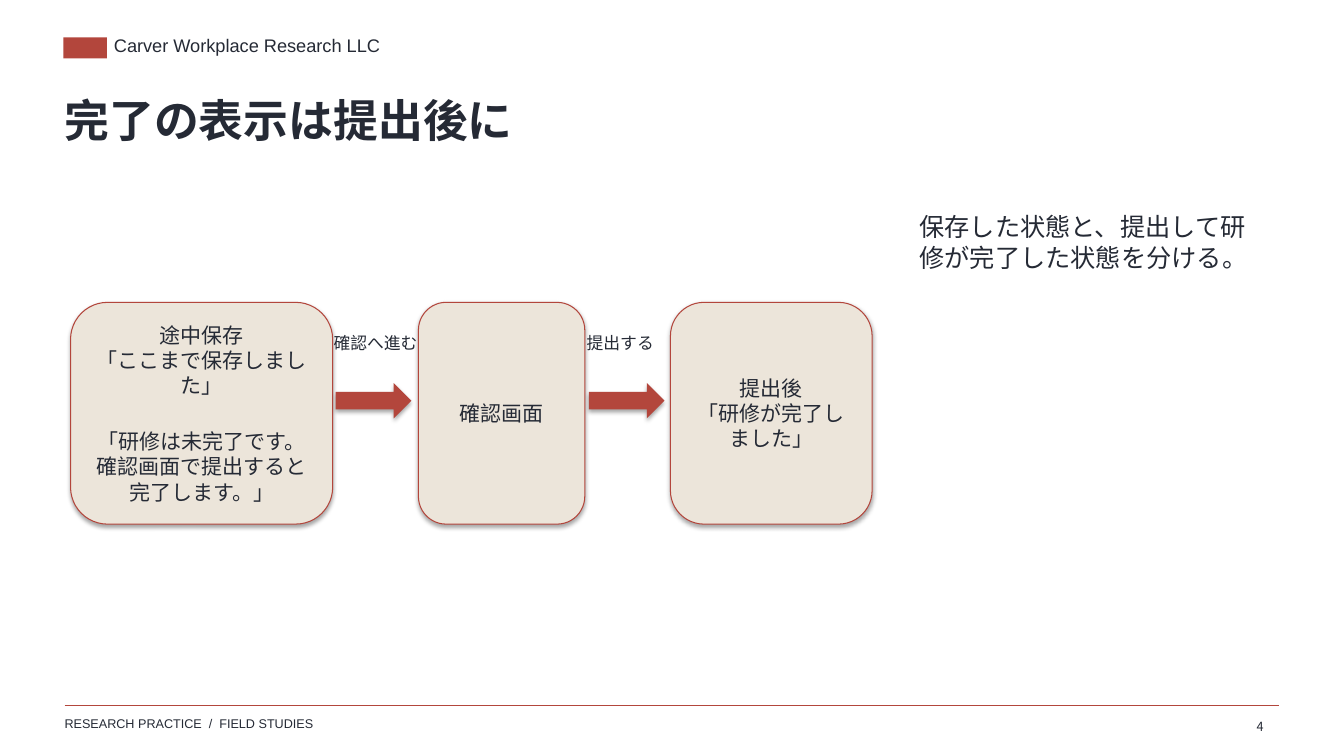
from lxml import etree
from pptx import Presentation
from pptx.dml.color import RGBColor
from pptx.enum.shapes import MSO_CONNECTOR, MSO_SHAPE
from pptx.enum.text import MSO_ANCHOR, PP_ALIGN
from pptx.oxml.ns import qn
from pptx.util import Inches, Pt

LEFT, CENTER, RIGHT = PP_ALIGN.LEFT, PP_ALIGN.CENTER, PP_ALIGN.RIGHT
RECTANGLE, ROUNDED = MSO_SHAPE.RECTANGLE, MSO_SHAPE.ROUNDED_RECTANGLE
ARROW = MSO_SHAPE.RIGHT_ARROW
RED = RGBColor(0xB3, 0x46, 0x3C)
SAND = RGBColor(0xEC, 0xE5, 0xDA)
INK = RGBColor(0x25, 0x2A, 0x35)
LATIN, JAPANESE = "Arial", "Noto Sans CJK JP"

# Content
COMPANY = "Carver Workplace Research LLC"
FOOTER = "RESEARCH PRACTICE  /  FIELD STUDIES"
PAGE = "4"
TITLE = "完了の表示は提出後に"
MESSAGE = "保存した状態と、提出して研修が完了した状態を分ける。"
# Each step: left, width, blocks of lines
STEPS = [
    (0.7, 2.6, [["途中保存", "「ここまで保存しました」"],
                ["「研修は未完了です。確認画面で提出すると完了します。」"]]),
    (4.15, 1.65, [["確認画面"]]),
    (6.65, 2, [["提出後", "「研修が完了しました」"]]),
]
# Each transition: arrow left, label
TRANSITIONS = [(3.33, "確認へ進む"), (5.84, "提出する")]

# Layout in inches
MARGIN, RULE_WIDTH, RULE_TOP = 0.64, 12.05, 7
STEP_TOP, STEP_HEIGHT = 3, 2.2
ARROW_TOP, ARROW_WIDTH, ARROW_HEIGHT = 3.8, 0.75, 0.35
LABEL_TOP, LABEL_OFFSET, LABEL_WIDTH, LABEL_HEIGHT = 3.25, -0.12, 1.05, 0.5
BLOCK_GAP = 22  # points

presentation = Presentation()
presentation.slide_width, presentation.slide_height = Inches(13.33), Inches(7.5)
slide = presentation.slides.add_slide(presentation.slide_layouts[6])


def write(frame, blocks, size, font=JAPANESE, align=LEFT, bold=False):
    lines = [(line, index > 0 and number == 0)
             for index, block in enumerate(blocks)
             for number, line in enumerate(block)]
    for position, (line, starts_block) in enumerate(lines):
        paragraph = frame.add_paragraph() if position else frame.paragraphs[0]
        paragraph.text = line
        paragraph.alignment = align
        if starts_block:
            paragraph.space_before = Pt(BLOCK_GAP)
        paragraph.font.size, paragraph.font.bold = Pt(size), bold
        paragraph.font.name = font
        paragraph.font.color.rgb = INK
        properties = paragraph._p.pPr.find(qn("a:defRPr"))
        etree.SubElement(properties, qn("a:ea")).set("typeface", font)


def add_text(box, text, size, font=JAPANESE, align=LEFT, bold=False,
             insets=(0.1, 0.05, 0.1, 0.05), wrap=True):
    frame = slide.shapes.add_textbox(*map(Inches, box)).text_frame
    frame.word_wrap = wrap
    (frame.margin_left, frame.margin_top,
     frame.margin_right, frame.margin_bottom) = map(Inches, insets)
    write(frame, [[text]], size, font, align, bold)


def add_filled(kind, box, color):
    shape = slide.shapes.add_shape(kind, *map(Inches, box))
    shape.fill.solid()
    shape.fill.fore_color.rgb = color
    shape.line.fill.background()
    return shape


# Header and footer
mark = add_filled(RECTANGLE, (0.63, 0.37, 0.43, 0.21), RED)
mark.shadow.inherit = False
BAND_INSETS = (0, 0, 0.1, 0.05)
add_text((1.13, 0.34, 5.5, 0.3), COMPANY, 13, LATIN,
         insets=BAND_INSETS, wrap=False)
rule = slide.shapes.add_connector(
    MSO_CONNECTOR.STRAIGHT, Inches(MARGIN), Inches(RULE_TOP),
    Inches(MARGIN + RULE_WIDTH), Inches(RULE_TOP))
rule.line.color.rgb, rule.line.width = RED, Pt(0.75)
etree.SubElement(rule._element.spPr, qn("a:effectLst"))
add_text((MARGIN, 7.1, 5.5, 0.24), FOOTER, 9, LATIN,
         insets=BAND_INSETS, wrap=False)
add_text((12.13, 7.08, 0.5, 0.22), PAGE, 9, align=RIGHT)

# Title and message
BODY_INSETS = (0, 0, 0, 0.05)
add_text((MARGIN, 0.92, 12, 1), TITLE, 32, bold=True, insets=BODY_INSETS)
add_text((9.12, 2.1, 3.48, 4.39), MESSAGE, 18, insets=BODY_INSETS)

# Steps, with the theme's soft shadow
for left, width, blocks in STEPS:
    step = add_filled(ROUNDED, (left, STEP_TOP, width, STEP_HEIGHT), SAND)
    step.line.color.rgb, step.line.width = RED, Pt(0.75)
    step.text_frame.word_wrap = True
    step.text_frame.vertical_anchor = MSO_ANCHOR.MIDDLE
    write(step.text_frame, blocks, 15, align=CENTER)

# Arrows and their labels
for left, label in TRANSITIONS:
    add_filled(ARROW, (left, ARROW_TOP, ARROW_WIDTH, ARROW_HEIGHT), RED)
    add_text((left + LABEL_OFFSET, LABEL_TOP, LABEL_WIDTH, LABEL_HEIGHT),
             label, 12)

presentation.save("out.pptx")
